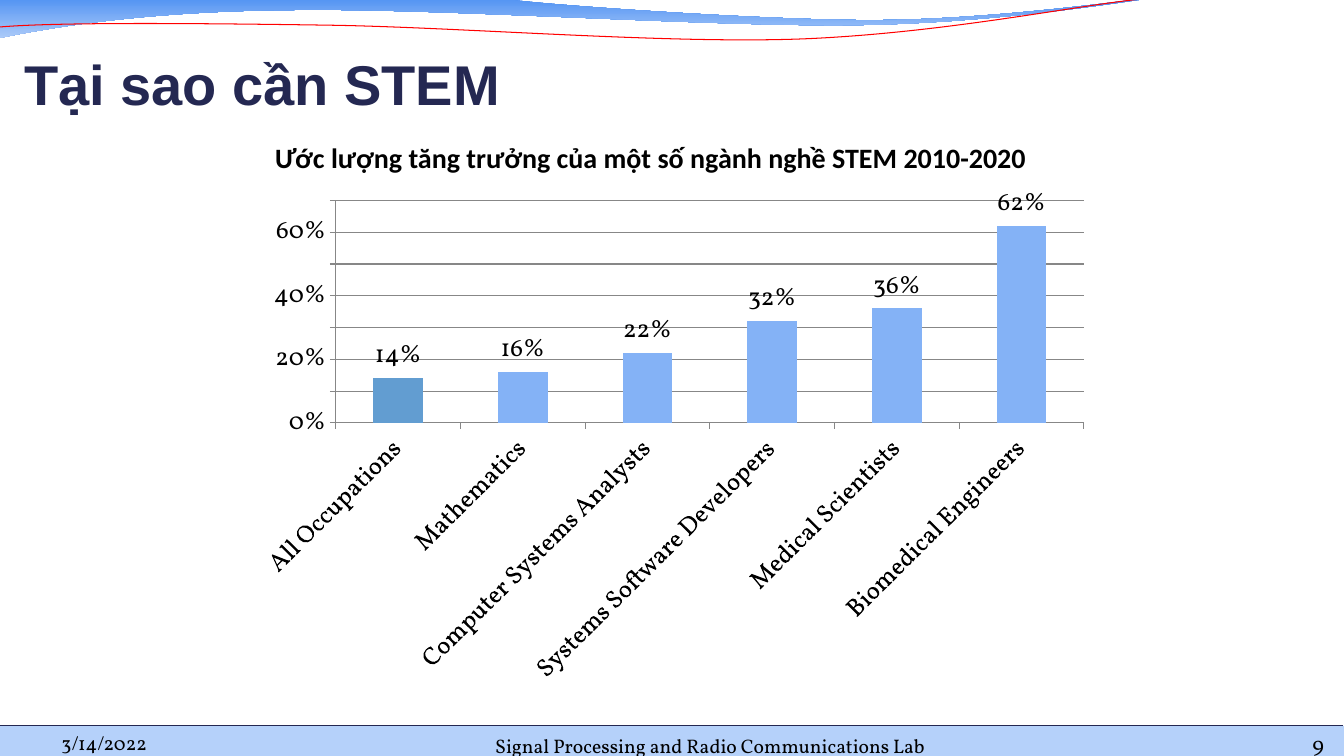
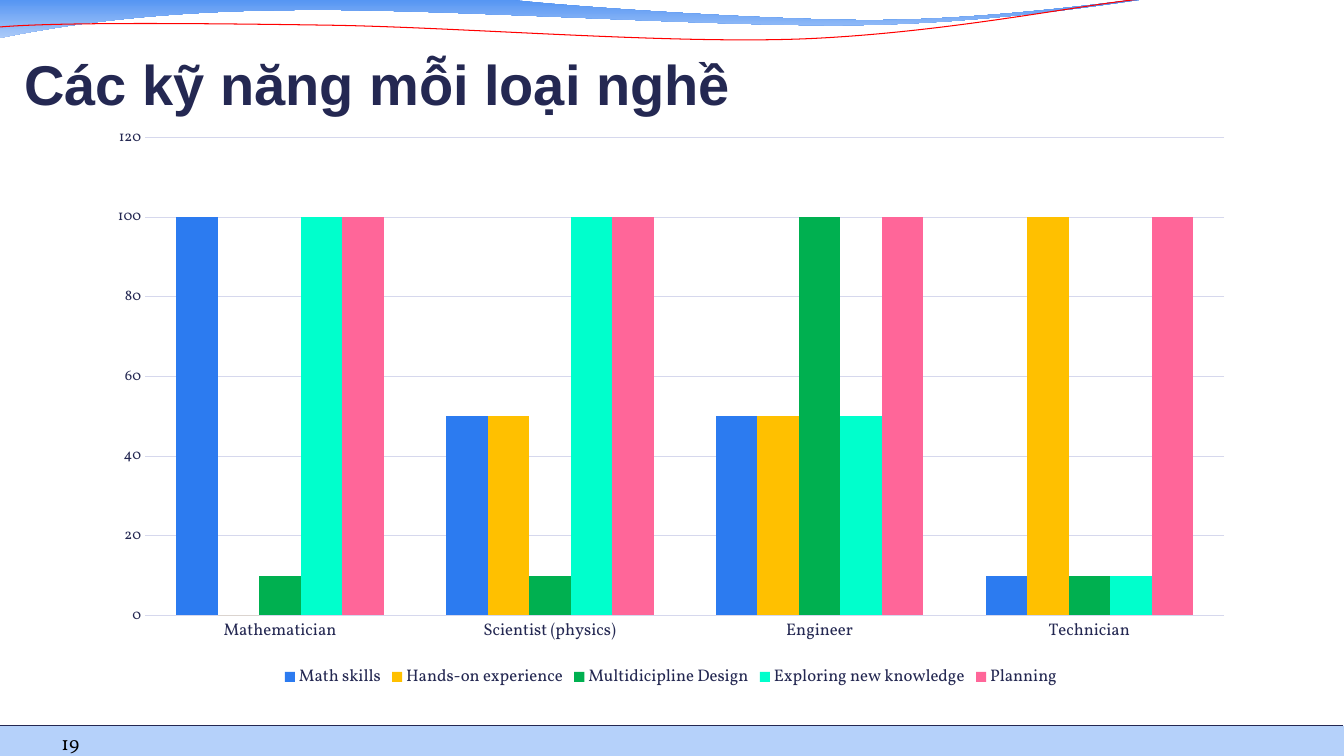
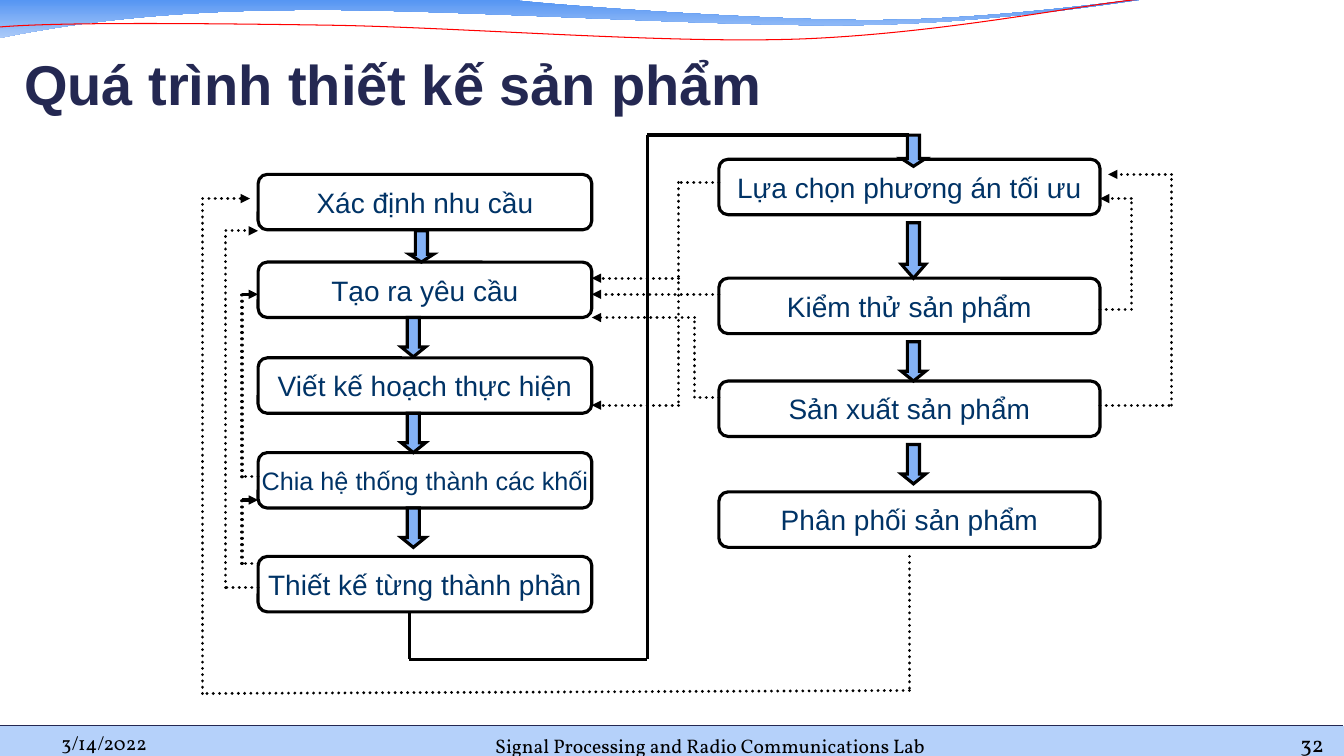
from itertools import pairwise

from lxml import etree
from pptx import Presentation
from pptx.chart.data import CategoryChartData
from pptx.dml.color import RGBColor
from pptx.enum.chart import XL_CHART_TYPE, XL_LABEL_POSITION, XL_LEGEND_POSITION, XL_TICK_MARK
from pptx.enum.dml import MSO_LINE
from pptx.enum.shapes import MSO_CONNECTOR, MSO_SHAPE
from pptx.enum.text import MSO_ANCHOR, PP_ALIGN
from pptx.oxml.ns import qn
from pptx.util import Inches, Pt

LEFT, CENTER, RIGHT = PP_ALIGN.LEFT, PP_ALIGN.CENTER, PP_ALIGN.RIGHT
TOP, MIDDLE, BOTTOM = MSO_ANCHOR.TOP, MSO_ANCHOR.MIDDLE, MSO_ANCHOR.BOTTOM
COLUMNS = XL_CHART_TYPE.COLUMN_CLUSTERED
NO_TICKS, OUTER_TICKS = XL_TICK_MARK.NONE, XL_TICK_MARK.OUTSIDE
DOTTED = MSO_LINE.ROUND_DOT
STRAIGHT = MSO_CONNECTOR.STRAIGHT
HEADING_FONT, FOOTER_FONT, CAPTION_FONT = "Arial", "Vollkorn", "Calibri"

COLORS = {
    name: RGBColor.from_string(value)
    for name, value in {
        "navy": "242852", "black": "000000", "node text": "003366",
        "wave top": "4A8EF2", "wave bottom": "ACCBF9", "red": "FF0000",
        "band": "B5D1FA", "sky": "84B2F6", "steel": "629DD1",
        "axis": "878787", "grid": "D6D8ED", "blue": "2C7BF0",
        "amber": "FFC000", "green": "00B050", "mint": "00FFCC", "pink": "FF6699",
    }.items()
}


def write_text(shape, text, size, font, color, bold=False, align=LEFT, anchor=BOTTOM, insets=(0, 0, 0, 0), wrap=True):
    frame = shape.text_frame
    frame.word_wrap = wrap
    frame.vertical_anchor = anchor
    frame.margin_left, frame.margin_top, frame.margin_right, frame.margin_bottom = map(Inches, insets)
    paragraph = frame.paragraphs[0]
    paragraph.alignment = align
    run = paragraph.add_run()
    run.text = text
    run.font.size = Pt(size)
    run.font.name = font
    run.font.bold = bold
    run.font.color.rgb = COLORS[color]


def add_line(slide, start, end, color, width, dash=None, arrow=False):
    connector = slide.shapes.add_connector(STRAIGHT, *map(Inches, start + end))
    connector.line.color.rgb = COLORS[color]
    connector.line.width = Pt(width)
    properties = connector._element.spPr
    outline = properties.find(qn("a:ln"))
    if dash:
        connector.line.dash_style = dash
        outline.set("cap", "rnd")
    if arrow:
        etree.SubElement(outline, qn("a:tailEnd"), type="triangle")
    etree.SubElement(properties, qn("a:effectLst"))
    return connector


presentation = Presentation()
presentation.slide_width = Inches(13.33)
presentation.slide_height = Inches(7.5)
layout = presentation.slide_layouts[6]
for placeholder in list(layout.placeholders):
    layout.shapes._spTree.remove(placeholder._element)
slides = [presentation.slides.add_slide(layout) for _ in range(3)]
growth_slide, skills_slide, process_slide = slides

wave_straight = [(-0.01, -0.01), (5.01, -0.01)]
wave_curves = [
    (5.41, 0.05), (7.57, 0.2), (8.63, 0.2),
    (9.69, 0.2), (10.91, 0.04), (11.38, -0.02),
    (11.38, 0.01), (11.38, -0.05), (11.38, -0.01),
    (11.18, 0.01), (9.9, 0.23), (8.49, 0.25),
    (7.08, 0.27), (4.34, 0.08), (2.92, 0.1),
    (1.46, 0.11), (0.52, 0.27), (-0.02, 0.38),
    (-0.01, 0.25), (-0.01, 0.12), (-0.01, -0.01),
]
ribbon_straight = [(-0.02, 0.27)]
ribbon_curves = [
    (0.52, 0.22), (1.9, 0.23), (3.25, 0.25),
    (4.61, 0.27), (6.75, 0.45), (8.1, 0.38),
    (9.45, 0.31), (10.65, 0.06), (11.32, -0.01),
]
outlines = []
for straight, curves, closed in ((wave_straight, wave_curves, True), (ribbon_straight, ribbon_curves, False)):
    vertices = [(Inches(x), Inches(y)) for x, y in straight + curves]
    builder = growth_slide.shapes.build_freeform(*vertices[0], scale=1.0)
    builder.add_line_segments(vertices[1:], close=closed)
    outline = builder.convert_to_shape()
    outline.shadow.inherit = False
    segments = list(outline._element.iter(qn("a:lnTo")))[len(straight) - 1:]
    segments = segments[:len(curves)]
    for index in range(0, len(curves), 3):
        curve = etree.Element(qn("a:cubicBezTo"))
        segments[index].addprevious(curve)
        for segment in segments[index:index + 3]:
            curve.append(segment[0])
            segment.getparent().remove(segment)
    outlines.append(outline)
wave, ribbon = outlines
wave.line.fill.background()
wave.fill.gradient()
wave.fill.gradient_angle = 270
for stop, color in zip(wave.fill.gradient_stops, ("wave top", "wave bottom")):
    stop.color.rgb = COLORS[color]
ribbon.fill.background()
ribbon.line.color.rgb = COLORS["red"]
ribbon.line.width = Pt(0.75)

band = growth_slide.shapes.add_shape(MSO_SHAPE.RECTANGLE, *map(Inches, (0, 7.2, 13.33, 0.31)))
band.shadow.inherit = False
band.fill.solid()
band.fill.fore_color.rgb = COLORS["band"]
band.line.fill.background()
band_edge = add_line(growth_slide, (-0.01, 7.2), (13.32, 7.2), "navy", 1)
for shape in (wave, ribbon, band, band_edge):
    layout.shapes._spTree.append(shape._element)

DATE = ("3/14/2022", (0.61, 7.28, 2.86, 0.2), LEFT, 14)
LAB = ("Signal Processing and Radio Communications Lab", (4.23, 7.22, 5.63, 0.29), CENTER, 14)
NUMBER_PLACE = (12.01, 7.31, 1.12, 0.2)
pages = [
    ("Tại sao cần STEM", [DATE, LAB, ("9", NUMBER_PLACE, RIGHT, 16)]),
    ("Các kỹ năng mỗi loại nghề", [("19", *DATE[1:])]),
    ("Quá trình thiết kế sản phẩm", [DATE, LAB, ("32", NUMBER_PLACE, RIGHT, 16)]),
]
for slide, (title, footers) in zip(slides, pages):
    for text, place, align, size in footers:
        box = slide.shapes.add_textbox(*map(Inches, place))
        write_text(box, text, size, FOOTER_FONT, "black", align=align)
    box = slide.shapes.add_textbox(*map(Inches, (0.24, 0.33, 11.69, 0.83)))
    write_text(box, title, 40, HEADING_FONT, "navy", bold=True, insets=(0, 0.05, 0, 0))

growth_categories = [
    "All Occupations", "Mathematics", "Computer Systems Analysts",
    "Systems Software Developers", "Medical Scientists", "Biomedical Engineers",
]
growth_series = [("Series 1", (0.14, 0.16, 0.22, 0.32, 0.36, 0.62), "sky")]
skills_categories = ["Mathematician", "Scientist (physics)", "Engineer", "Technician"]
skills_series = [
    ("Math skills", (100, 50, 50, 10), "blue"),
    ("Hands-on experience", (0, 50, 50, 100), "amber"),
    ("Multidicipline Design", (10, 10, 100, 10), "green"),
    ("Exploring new knowledge", (100, 100, 50, 10), "mint"),
    ("Planning", (100, 100, 100, 100), "pink"),
]
chart_plans = [
    (growth_slide, (2.42, 1.85, 8.5, 5.06), growth_categories, growth_series,
     "black", (18, 18), OUTER_TICKS, "axis", (0.7, 0.1)),
    (skills_slide, (0.94, 1.15, 11.43, 5.72), skills_categories, skills_series,
     "navy", (12, 10.5), NO_TICKS, "grid", (120, 20)),
]
charts = []
for slide, place, categories, series_rows, text_color, sizes, ticks, line_color, scale in chart_plans:
    data = CategoryChartData()
    data.categories = categories
    for name, values, color in series_rows:
        data.add_series(name, values)
    chart = slide.shapes.add_chart(COLUMNS, *map(Inches, place), data).chart
    charts.append(chart)
    chart.has_title = False
    chart.has_legend = False
    chart.font.name = FOOTER_FONT
    chart.font.size = Pt(sizes[0])
    chart.font.color.rgb = COLORS[text_color]
    plot = chart.plots[0]
    plot.gap_width = 150
    plot.overlap = 0
    plot.vary_by_categories = False
    for series, (name, values, color) in zip(plot.series, series_rows):
        series.invert_if_negative = False
        series.format.fill.solid()
        series.format.fill.fore_color.rgb = COLORS[color]
    for axis, size in zip((chart.category_axis, chart.value_axis), sizes):
        axis.major_tick_mark = ticks
        axis.minor_tick_mark = NO_TICKS
        axis.tick_labels.font.size = Pt(size)
        axis.tick_labels.font.name = FOOTER_FONT
        axis.tick_labels.font.color.rgb = COLORS[text_color]
        axis.format.line.color.rgb = COLORS[line_color]
        axis.format.line.width = Pt(0.75)
    value_axis = chart.value_axis
    value_axis.minimum_scale = 0
    value_axis.maximum_scale, value_axis.major_unit = scale
    value_axis.has_major_gridlines = True
    value_axis.major_gridlines.format.line.color.rgb = COLORS[line_color]
    value_axis.major_gridlines.format.line.width = Pt(0.75)

growth_chart, skills_chart = charts
growth_chart.value_axis.tick_labels.number_format = "0%"
growth_chart.value_axis.tick_labels.number_format_is_linked = False
growth_chart.category_axis._element.find(qn("c:txPr")).find(qn("a:bodyPr")).set("rot", "-2700000")
growth_plot = growth_chart.plots[0]
growth_plot.has_data_labels = True
labels = growth_plot.data_labels
labels.show_value = True
labels.number_format = "0%"
labels.number_format_is_linked = False
labels.position = XL_LABEL_POSITION.OUTSIDE_END
all_occupations = growth_plot.series[0].points[0].format.fill
all_occupations.solid()
all_occupations.fore_color.rgb = COLORS["steel"]

caption = growth_slide.shapes.add_textbox(*map(Inches, (2.63, 1.34, 8.19, 0.44)))
write_text(caption, "Ước lượng tăng trưởng của một số ngành nghề STEM 2010-2020", 20, CAPTION_FONT, "black",
           bold=True, anchor=TOP, insets=(0.1, 0.05, 0.1, 0.05), wrap=False)

skills_chart.value_axis.format.line.fill.background()
skills_chart.has_legend = True
legend = skills_chart.legend
legend.position = XL_LEGEND_POSITION.BOTTOM
legend.include_in_layout = False
legend.font.size = Pt(12)
legend.font.name = FOOTER_FONT
legend.font.color.rgb = COLORS["navy"]

node_columns = [
    (2.56, 3.31, [
        (1.73, "Xác định nhu cầu", 20),
        (2.6, "Tạo ra yêu cầu", 20),
        (3.55, "Viết kế hoạch thực hiện", 20),
        (4.49, "Chia hệ thống thành các khối", 18),
        (5.52, "Thiết kế từng thành phần", 20),
    ]),
    (7.13, 3.78, [
        (1.58, "Lựa chọn phương án tối ưu", 20),
        (2.76, "Kiểm thử sản phẩm", 20),
        (3.78, "Sản xuất sản phẩm", 20),
        (4.88, "Phân phối sản phẩm", 20),
    ]),
]
for left, width, nodes in node_columns:
    for top, text, size in nodes:
        node = process_slide.shapes.add_shape(MSO_SHAPE.ROUNDED_RECTANGLE, *map(Inches, (left, top, width, 0.55)))
        node.shadow.inherit = False
        node.fill.background()
        node.line.color.rgb = COLORS["black"]
        node.line.width = Pt(2.25)
        write_text(node, text, size, HEADING_FONT, "node text", align=CENTER, anchor=MIDDLE,
                   insets=(0.1, 0.05, 0.1, 0.05), wrap=False)

routes = [
    ([(4.06, 6.07), (4.06, 6.54), (6.42, 6.54), (6.42, 1.34), (9.02, 1.34)], None, False),
    ([(10.91, 3.07), (11.22, 3.07), (11.22, 1.97), (10.91, 1.97)], DOTTED, True),
    ([(10.91, 4.02), (11.62, 4.02), (11.62, 1.73), (10.99, 1.73)], DOTTED, True),
    ([(9.02, 5.52), (9.02, 6.85), (2.01, 6.88), (2.01, 1.97), (2.48, 1.97)], DOTTED, True),
    ([(2.56, 5.83), (2.24, 5.83), (2.24, 2.29), (2.56, 2.29)], DOTTED, True),
    ([(2.56, 5.59), (2.4, 5.59), (2.4, 4.96)], DOTTED, False),
    ([(2.4, 4.96), (2.56, 4.96)], None, True),
    ([(2.56, 4.73), (2.4, 4.73), (2.4, 2.92)], DOTTED, False),
    ([(2.4, 2.92), (2.56, 2.92)], None, True),
    ([(7.13, 1.81), (6.73, 1.81), (6.73, 4.02), (5.87, 4.02)], DOTTED, True),
    ([(6.73, 2.76), (5.87, 2.76)], DOTTED, True),
    ([(7.13, 2.92), (5.87, 2.92)], DOTTED, True),
    ([(7.13, 3.94), (6.89, 3.94), (6.89, 3.15), (5.87, 3.15)], DOTTED, True),
]
for points, dash, has_arrow in routes:
    for start, end in pairwise(points):
        add_line(process_slide, start, end, "black", 2.25, dash, has_arrow and end == points[-1])

ARROW_WIDTH = 0.24
arrows = [
    (4.06, 2.29, 0.31), (3.98, 3.15, 0.39), (3.98, 4.1, 0.39), (3.98, 5.04, 0.39),
    (8.94, 1.34, 0.31), (8.94, 2.21, 0.55), (8.94, 3.39, 0.39), (8.94, 4.41, 0.39),
]
for left, top, height in arrows:
    arrow = process_slide.shapes.add_shape(MSO_SHAPE.DOWN_ARROW, *map(Inches, (left, top, ARROW_WIDTH, height)))
    arrow.shadow.inherit = False
    arrow.adjustments[1] = height / ARROW_WIDTH / 4
    arrow.fill.solid()
    arrow.fill.fore_color.rgb = COLORS["sky"]
    arrow.line.color.rgb = COLORS["black"]
    arrow.line.width = Pt(2.25)
    etree.SubElement(arrow._element.spPr.find(qn("a:ln")), qn("a:miter"), lim="800000")

presentation.save("out.pptx")
